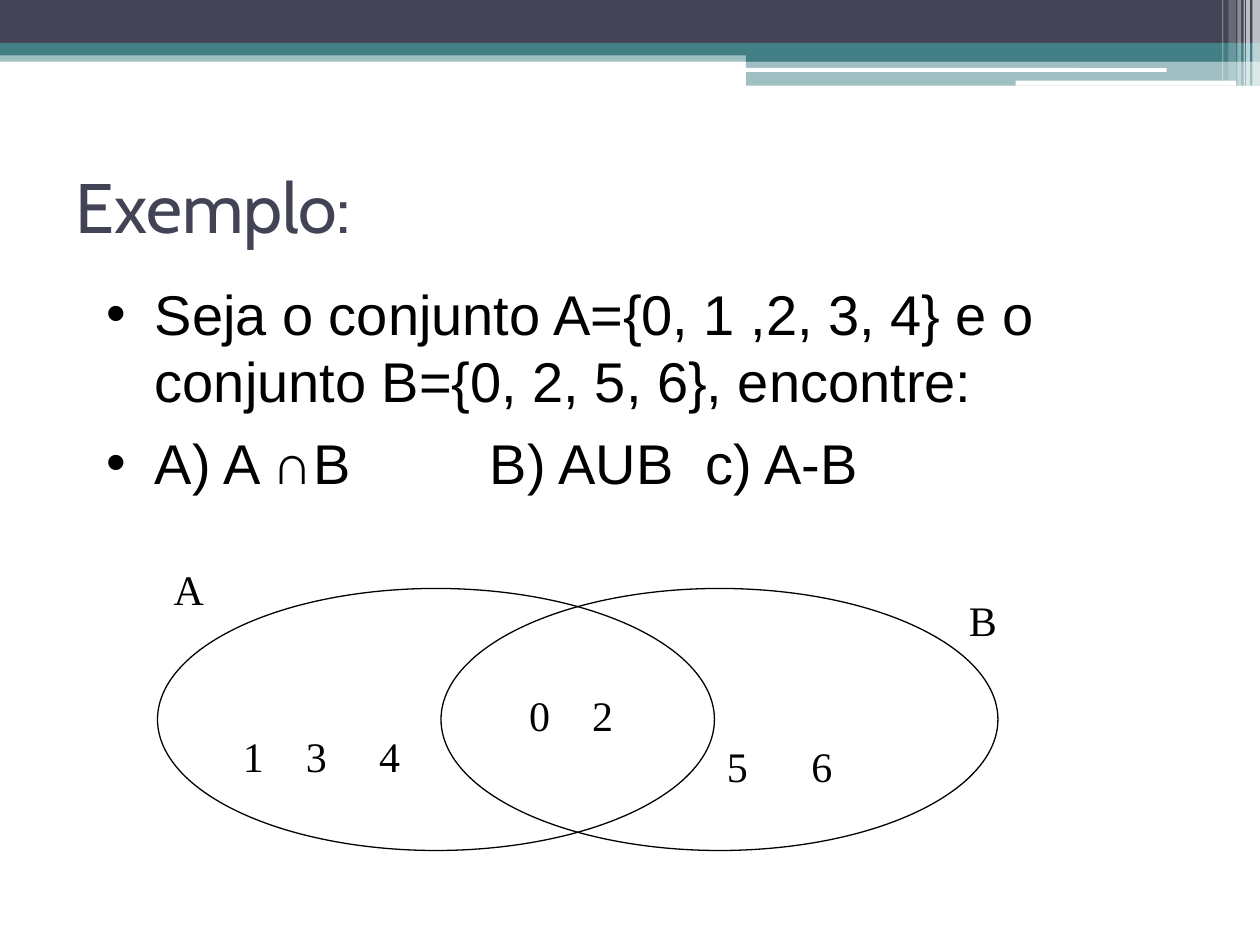
from lxml import etree
from pptx import Presentation, util as u
from pptx.dml.color import RGBColor
from pptx.enum import shapes, text
from pptx.oxml.ns import qn

COLORS = {"navy": "424456", "teal": "438086", "white": "FFFFFF", "black": "000000"}

# Header: left, top, width, height, colour, opacity %, preset
RECT, ROUND = shapes.MSO_SHAPE.RECTANGLE, shapes.MSO_SHAPE.ROUNDED_RECTANGLE
BANDS = [
    (0, 0.4, 10, 0.09, "teal", 50, RECT),
    (0, 0, 10, 0.34, "navy", 100, RECT),
    (0, 0.34, 10, 0.1, "teal", 100, RECT),
    (5.92, 0.39, 4.08, 0.1, "teal", 100, RECT),
    (5.92, 0.48, 4.08, 0.2, "teal", 50, RECT),
    (5.91, 0.54, 3.35, 0.03, "white", 100, ROUND),
    (8.06, 0.64, 1.75, 0.04, "white", 100, ROUND),
]
# Stripes at the right edge: left, width, height, opacity %
STRIPES = [
    (9.94, 0.06, 0.68, 65), (9.89, 0.03, 0.68, 65), (9.87, 0.01, 0.68, 60),
    (9.82, 0.03, 0.68, 40), (9.75, 0.06, 0.64, 20), (9.7, 0.01, 0.64, 30),
]
TITLE = "Exemplo:"
QUESTIONS = [
    "Seja o conjunto A={0, 1 ,2, 3, 4} e o conjunto B={0, 2, 5, 6}, encontre:",
    "A) A ∩B\tB) AUB\tc) A-B",
]
QUESTION_TABS = [3.04, 4.75]
# Venn diagram
SET_LEFTS, SET_TOP, SET_SIZE = (3.5, 1.25), 4.67, (4.42, 2.08)
# text, left, top, width, left inset, tab stops
VENN_LABELS = [
    ("A", 1.28, 4.42, 0.58, 0.1, []),
    ("B", 7.59, 4.67, 0.58, 0.1, []),
    ("1\t3\t4", 1.83, 5.75, 1.58, 0.1, [0.5, 1.08]),
    ("5\t6", 5.67, 5.83, 1.58, 0.1, [0.67]),
    ("0\t2", 3.75, 5.42, 1.58, 0.45, [0.5]),
]
TITLE_FONT = {"name": "Cabin", "size": u.Pt(40)}
BODY_FONT = {"name": "Arial", "size": u.Pt(32)}
VENN_FONT = {"name": "Times New Roman", "size": u.Pt(24)}


def rgb(name):
    return RGBColor.from_string(COLORS[name])


def inches(*lengths):
    return [u.Inches(length) for length in lengths]


def set_font(paragraph, values, color):
    for key, value in values.items():
        setattr(paragraph.font, key, value)
    paragraph.font.color.rgb = rgb(color)


def add_tabs(paragraph, stops):
    if stops:
        tabs = etree.SubElement(paragraph._p.get_or_add_pPr(), qn("a:tabLst"))
        for stop in stops:
            etree.SubElement(tabs, qn("a:tab"), pos=str(u.Inches(stop)), algn="l")


def add_bullet(paragraph):
    props = paragraph._p.get_or_add_pPr()
    props.set("marL", str(u.Inches(0.38)))
    props.set("indent", str(u.Inches(-0.38)))
    etree.SubElement(props, qn("a:buFont"), typeface="Arial")
    etree.SubElement(props, qn("a:buChar"), char="•")


def add_band(left, top, width, height, color, opacity, preset):
    band = slide.shapes.add_shape(preset, *inches(left, top, width, height))
    band.shadow.inherit = False
    band.line.fill.background()
    band.fill.solid()
    band.fill.fore_color.rgb = rgb(color)
    if opacity < 100:
        fill_color = band._element.spPr.find(".//" + qn("a:srgbClr"))
        etree.SubElement(fill_color, qn("a:alpha"), val=str(opacity * 1000))


def add_text(left, top, width, height):
    frame = slide.shapes.add_textbox(*inches(left, top, width, height)).text_frame
    frame.word_wrap = True
    return frame


prs = Presentation()
prs.slide_width, prs.slide_height = inches(10, 7.5)
slide = prs.slides.add_slide(prs.slide_layouts[5])

# Header bands and stripes
for band in BANDS:
    add_band(*band)
for left, width, height, opacity in STRIPES:
    add_band(left, 0, width, height, "white", opacity, RECT)

# Title
title = slide.shapes.title
title.left, title.top, title.width, title.height = inches(0.5, 1.25, 9, 1.17)
title.text_frame.text = TITLE
title.text_frame.vertical_anchor = text.MSO_ANCHOR.TOP
heading = title.text_frame.paragraphs[0]
heading.alignment = text.PP_ALIGN.LEFT
set_font(heading, TITLE_FONT, "navy")

# Questions
body = add_text(0.75, 2.17, 8.5, 4.5)
body.text = "\n".join(QUESTIONS)
for number, question in enumerate(body.paragraphs):
    if number:
        question.space_before = u.Pt(8)
    add_bullet(question)
    add_tabs(question, QUESTION_TABS if number else [])
    set_font(question, BODY_FONT, "black")

# Overlapping sets
for left in SET_LEFTS:
    ellipse = slide.shapes.add_shape(
        shapes.MSO_SHAPE.OVAL, *inches(left, SET_TOP, *SET_SIZE))
    ellipse.shadow.inherit = False
    ellipse.fill.background()
    ellipse.line.color.rgb = rgb("black")
    ellipse.line.width = u.Pt(0.75)

# Set names and elements
for wording, left, top, width, inset, stops in VENN_LABELS:
    frame = add_text(left, top, width, 0.5)
    frame.margin_left = u.Inches(inset)
    frame.text = wording
    add_tabs(frame.paragraphs[0], stops)
    set_font(frame.paragraphs[0], VENN_FONT, "black")

prs.save("out.pptx")
